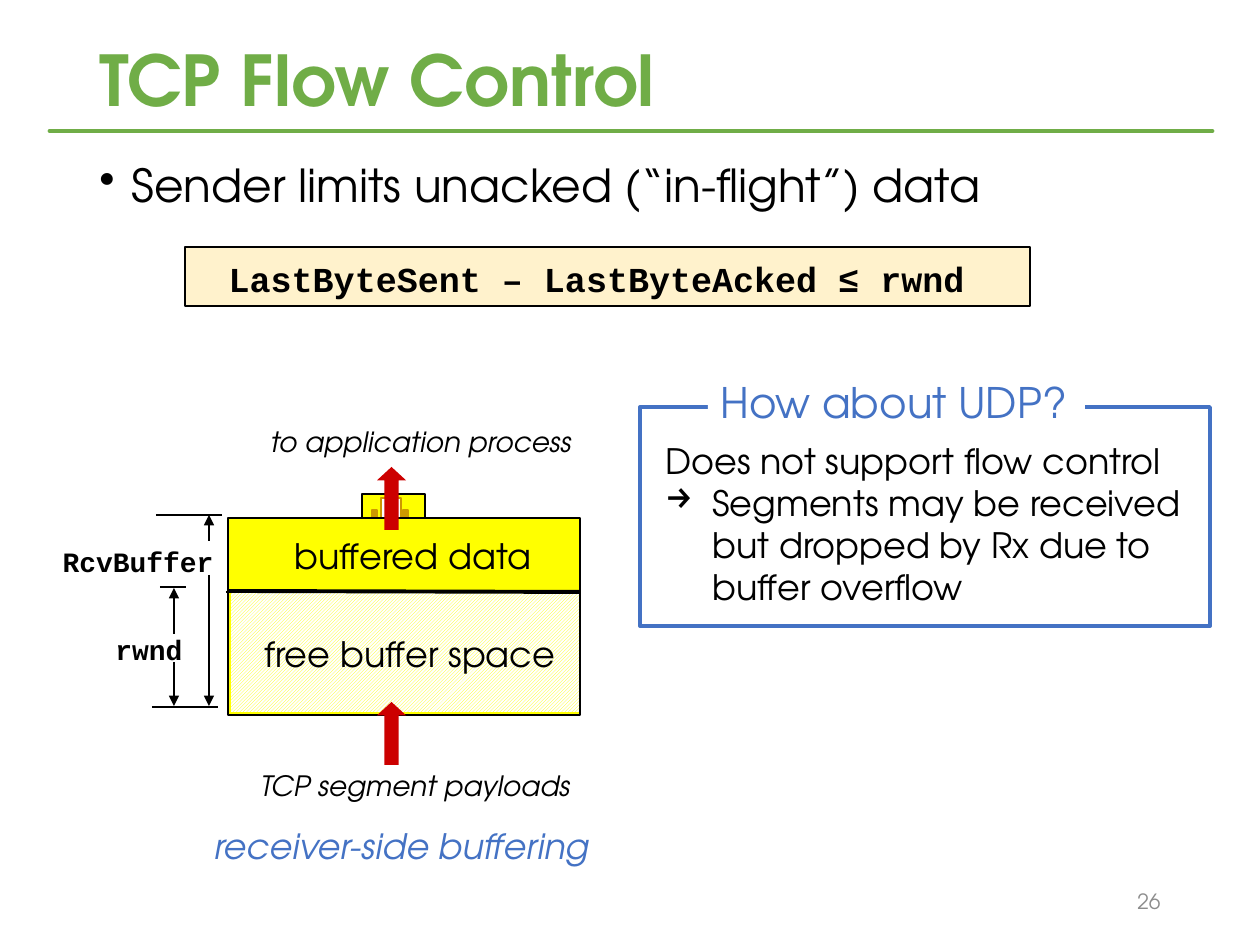
from dataclasses import dataclass

from lxml import etree
from pptx import Presentation
from pptx.dml.color import RGBColor
from pptx.enum.dml import MSO_PATTERN
from pptx.enum.shapes import MSO_CONNECTOR, MSO_SHAPE
from pptx.enum.text import MSO_ANCHOR, PP_ALIGN
from pptx.oxml.ns import qn
from pptx.util import Emu, Pt

RECTANGLE, UP_ARROW = MSO_SHAPE.RECTANGLE, MSO_SHAPE.UP_ARROW
STRAIGHT = MSO_CONNECTOR.STRAIGHT
LEFT, CENTER, RIGHT = PP_ALIGN.LEFT, PP_ALIGN.CENTER, PP_ALIGN.RIGHT
TOP, MIDDLE = MSO_ANCHOR.TOP, MSO_ANCHOR.MIDDLE
DIAGONAL = MSO_PATTERN.DARK_UPWARD_DIAGONAL
EMU_PER_PX = 914400 / 126


@dataclass(frozen=True)
class Theme:
    sans: str = "TeX Gyre Adventor"
    mono: str = "Courier New"
    green: str = "70AD47"
    blue: str = "4472C4"
    black: str = "000000"
    white: str = "FFFFFF"
    gray: str = "8C8C8C"
    yellow: str = "FFFF00"
    cream: str = "FFF2CC"
    gold: str = "CC9900"
    red: str = "CC0000"
    title: int = 40
    body: int = 26
    heading: int = 24
    text: int = 20
    label: int = 16
    number: int = 12
    thin: float = 0.75
    medium: float = 1.5
    thick: float = 2.25
    rule: float = 2.75


THEME = Theme()


@dataclass(frozen=True)
class Box:
    left: int
    top: int
    width: int
    height: int

    def inner(self, left, top, width, height):
        return Box(self.left + left, self.top + top, width, height)


def px(length):
    return Emu(round(length * EMU_PER_PX))


def color(value):
    return RGBColor.from_string(value)


def add_block(slide, box, fill, line=None, weight=THEME.thin, kind=RECTANGLE):
    shape = slide.shapes.add_shape(kind, px(box.left), px(box.top), px(box.width), px(box.height))
    shape.shadow.inherit = False
    shape.fill.solid()
    shape.fill.fore_color.rgb = color(fill)
    if line:
        shape.line.color.rgb = color(line)
        shape.line.width = Pt(weight)
    else:
        shape.line.fill.background()
    return shape


def add_line(slide, box, start, end, line=THEME.black, weight=THEME.thin, arrow=False, cap=None):
    connector = slide.shapes.add_connector(
        STRAIGHT,
        px(box.left + start[0]), px(box.top + start[1]),
        px(box.left + end[0]), px(box.top + end[1]))
    connector.line.color.rgb = color(line)
    connector.line.width = Pt(weight)
    properties = connector._element.spPr
    etree.SubElement(properties, qn("a:effectLst"))
    outline = properties.find(qn("a:ln"))
    if cap:
        outline.set("cap", cap)
    if arrow:
        etree.SubElement(outline, qn("a:tailEnd"), type="triangle")


def write(paragraph, text, size, ink=THEME.black, font=THEME.sans, bold=False, italic=False, align=LEFT):
    paragraph.alignment = align
    run = paragraph.add_run()
    run.text = text
    run.font.name, run.font.size = font, Pt(size)
    run.font.bold, run.font.italic = bold, italic
    run.font.color.rgb = color(ink)


def add_bullet(paragraph, mark, indent):
    properties = paragraph._p.get_or_add_pPr()
    properties.set("marL", str(px(indent)))
    properties.set("indent", str(-px(indent)))
    etree.SubElement(properties, qn("a:buChar"), char=mark)


def add_text(slide, box, text, size, wrap=True, anchor=TOP, **style):
    shape = slide.shapes.add_textbox(px(box.left), px(box.top), px(box.width), px(box.height))
    frame = shape.text_frame
    frame.word_wrap = wrap
    frame.vertical_anchor = anchor
    write(frame.paragraphs[0], text, size, **style)
    return frame


def add_header(slide, box):
    frame = add_text(slide, box.inner(37, 0, 1086, 93), "TCP Flow Control", THEME.title,
                     anchor=MIDDLE, ink=THEME.green, bold=True)
    frame.paragraphs[0].line_spacing = 0.9
    add_line(slide, box, (0, 94), (box.width, 94), THEME.green, THEME.rule, cap="rnd")


def add_body(slide, box):
    paragraph = add_text(slide, box, "Sender limits unacked (“in-flight”) data", THEME.body).paragraphs[0]
    paragraph.space_before = Pt(6)
    add_bullet(paragraph, "•", 32)


def add_formula(slide, box):
    frame = add_block(slide, box, THEME.cream, THEME.black).text_frame
    frame.word_wrap = True
    frame.margin_left = frame.margin_right = 0
    frame.vertical_anchor = TOP
    paragraph = frame.paragraphs[0]
    paragraph.line_spacing = 1.1
    write(paragraph, "LastByteSent – LastByteAcked ≤ rwnd ", THEME.text,
          font=THEME.mono, bold=True, align=CENTER)


def add_flow_arrow(slide, box):
    arrow = add_block(slide, box, THEME.red, kind=UP_ARROW)
    arrow.adjustments[0], arrow.adjustments[1] = 0.5, 0.46


def add_buffer(slide, box):
    add_block(slide, box.inner(134, 0, 63, 29), THEME.yellow, THEME.black)
    add_block(slide, box.inner(153, 4, 20, 21), THEME.white, THEME.gold)
    for left in (175, 144):
        add_block(slide, box.inner(left, 16, 5, 8), THEME.gold, THEME.gold)
    add_block(slide, box.inner(0, 24, 352, 197), THEME.yellow, THEME.black)
    add_line(slide, box, (-2, 98), (353, 98))
    add_flow_arrow(slide, box.inner(149, -27, 29, 63))
    free_space = add_block(slide, box.inner(3, 97, 348, 121), THEME.white)
    free_space.fill.patterned()
    free_space.fill.pattern = DIAGONAL
    free_space.fill.fore_color.rgb = color(THEME.yellow)
    free_space.fill.back_color.rgb = color(THEME.white)
    add_flow_arrow(slide, box.inner(149, 208, 29, 63))
    add_text(slide, box.inner(54, 34, 268, 55), "buffered data", THEME.text, wrap=False)
    add_line(slide, box, (0, 97), (353, 98), weight=THEME.thick)
    add_text(slide, box.inner(24, 132, 321, 55), "free buffer space", THEME.text, wrap=False)


def add_dimensions(slide, box):
    for left, right, top in ((102, 168, 192), (110, 136, 72), (106, 172, 0)):
        add_line(slide, box, (left, top), (right, top), weight=THEME.medium)
    for x, start, end in ((124, 119, 73), (124, 147, 191), (159, 26, 0), (159, 60, 191)):
        add_line(slide, box, (x, start), (x, end), arrow=True)
    for label_box, text, align in ((box.inner(53, 111, 93, 47), "rwnd", LEFT),
                                   (box.inner(0, 23, 176, 47), "RcvBuffer", RIGHT)):
        add_text(slide, label_box, text, THEME.label, wrap=False, font=THEME.mono, bold=True, align=align)


def add_receiver(slide, box):
    add_buffer(slide, box.inner(178, 76, 352, 221))
    add_dimensions(slide, box.inner(0, 97, 176, 192))
    for label_box, text, size, ink in (
            (box.inner(198, 344, 340, 47), "TCP segment payloads", THEME.label, THEME.black),
            (box.inner(208, 0, 331, 47), "to application process", THEME.label, THEME.black),
            (box.inner(152, 400, 408, 55), "receiver-side buffering", THEME.text, THEME.blue)):
        add_text(slide, label_box, text, size, wrap=False, ink=ink, italic=True)


def add_question(slide, box):
    add_block(slide, box.inner(0, 37, 570, 219), THEME.white, THEME.blue, THEME.thick)
    frame = add_text(slide, box.inner(13, 63, 556, 183), "Does not support flow control", THEME.text)
    paragraph = frame.add_paragraph()
    write(paragraph, "Segments may be received but dropped by Rx due to buffer overflow", THEME.text)
    add_bullet(paragraph, "→", 47)
    heading = box.inner(68, 0, 377, 64)
    add_block(slide, heading, THEME.white)
    add_text(slide, heading, "How about UDP?", THEME.heading, wrap=False, ink=THEME.blue)


def main():
    presentation = Presentation()
    presentation.slide_width, presentation.slide_height = px(1260), px(945)
    slide = presentation.slides.add_slide(presentation.slide_layouts[6])
    add_header(slide, Box(50, 37, 1162, 94))
    add_body(slide, Box(87, 151, 1086, 757))
    add_text(slide, Box(890, 876, 283, 50), "26", THEME.number,
             anchor=MIDDLE, ink=THEME.gray, align=RIGHT)
    add_receiver(slide, Box(50, 418, 560, 455))
    add_formula(slide, Box(185, 247, 845, 59))
    add_question(slide, Box(640, 370, 570, 256))
    presentation.save("out.pptx")


if __name__ == "__main__":
    main()
